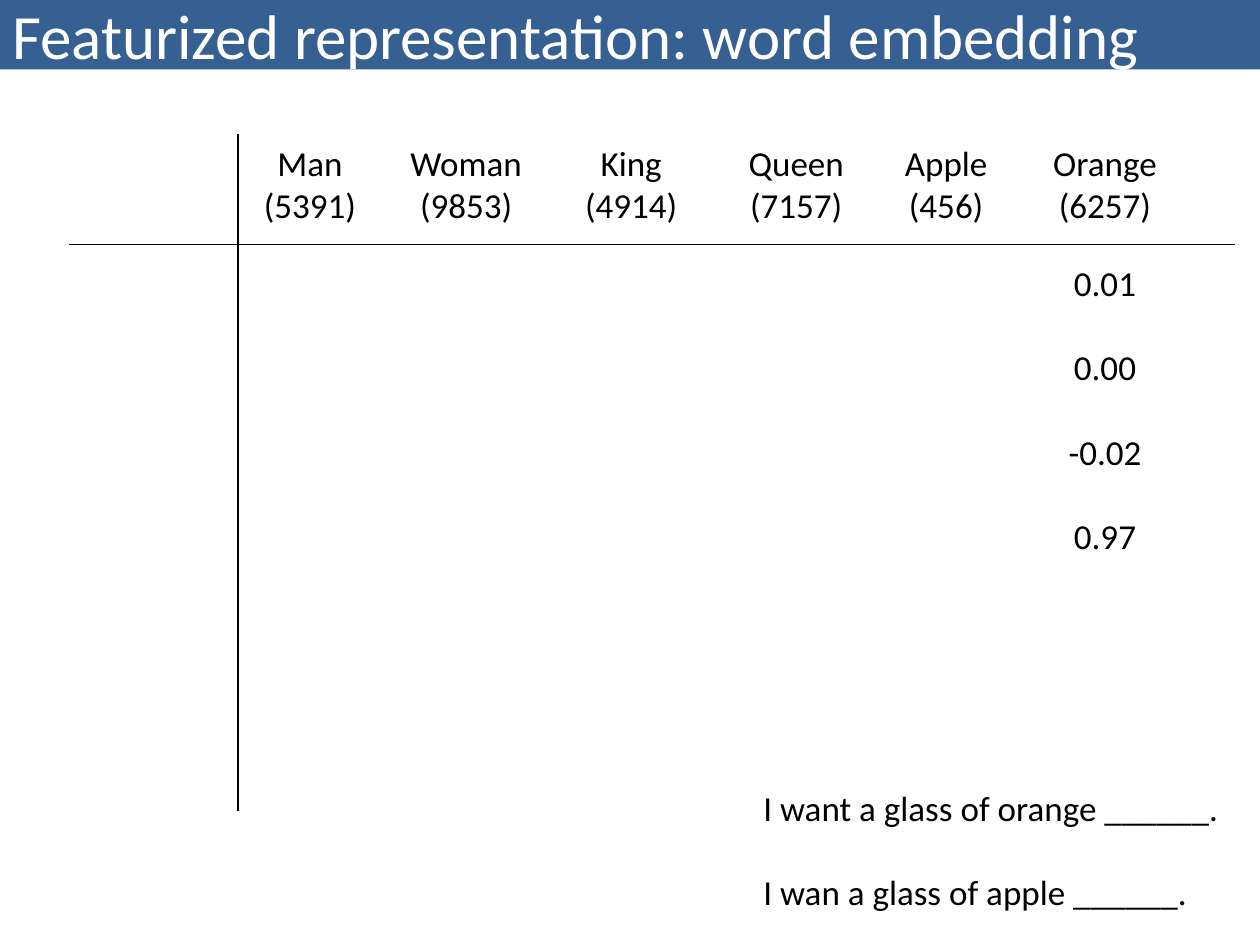
import pptx
import pptx.util
import pptx.dml.color
import pptx.enum.text
import pptx.enum.shapes
import pptx.oxml.ns
import lxml.etree

# Content
TITLE = "Featurized representation: word embedding"
# word, vocabulary index, column centre, box width
WORDS = [
    ("Man", 5391, 2.46, 0.94),
    ("Woman", 9853, 3.7, 1.09),
    ("King", 4914, 5.01, 0.94),
    ("Queen", 7157, 6.32, 0.97),
    ("Apple", 456, 7.51, 0.86),
    ("Orange", 6257, 8.77, 1.03),
]
ORANGE_FEATURES = ["0.01", "0.00", "-0.02", "0.97"]
SENTENCES = ["I want a glass of orange ______.", "I wan a glass of apple ______."]
AXES = [((0.55, 1.94), (9.8, 1.94)), ((1.89, 1.06), (1.89, 6.44))]

FONT, BLACK, WHITE, BLUE = "Calibri", "000000", "FFFFFF", "376092"
LINE_GAP = 24
ALIGN = pptx.enum.text.PP_ALIGN
inch = pptx.util.Inches


def color(value):
    return pptx.dml.color.RGBColor.from_string(value)


def style(p, size, value, align):
    p.font.name, p.font.size = FONT, pptx.util.Pt(size)
    p.font.color.rgb = color(value)
    p.alignment = align


def add_text(s, lines, left, top, width, height, align=ALIGN.CENTER, gap=0):
    tf = s.shapes.add_textbox(*map(inch, (left, top, width, height))).text_frame
    tf.word_wrap = False
    tf.auto_size = pptx.enum.text.MSO_AUTO_SIZE.SHAPE_TO_FIT_TEXT
    for i, line in enumerate(lines):
        p = tf.add_paragraph() if i else tf.paragraphs[0]
        p.text = line
        style(p, 20, BLACK, align)
        p.space_before = pptx.util.Pt(gap if i else 0)


def add_line(s, start, end):
    line = s.shapes.add_connector(
        pptx.enum.shapes.MSO_CONNECTOR.STRAIGHT, *map(inch, start + end))
    line.line.color.rgb = color(BLACK)
    line.line.width = pptx.util.Pt(0.75)
    lxml.etree.SubElement(line._element.spPr, pptx.oxml.ns.qn("a:effectLst"))


prs = pptx.Presentation()
prs.slide_width, prs.slide_height = inch(10), inch(7.5)
s = prs.slides.add_slide(prs.slide_layouts[5])

# Title bar
title = s.shapes.title
title.left, title.top, title.width, title.height = map(inch, (0, 0, 10, 0.55))
title.fill.solid()
title.fill.fore_color.rgb = color(BLUE)
tf = title.text_frame
tf.text = TITLE
tf.auto_size = pptx.enum.text.MSO_AUTO_SIZE.NONE
tf.vertical_anchor = pptx.enum.text.MSO_ANCHOR.MIDDLE
style(tf.paragraphs[0], 36, WHITE, ALIGN.LEFT)

# Column headings
for word, index, center, width in WORDS:
    add_text(s, [word, f"({index})"], center - width / 2, 1.07, width, 0.77)

# Table rules
for start, end in AXES:
    add_line(s, start, end)

# Feature values under the last word, and example sentences
center = WORDS[-1][2]
add_text(s, ORANGE_FEATURES, center - 0.39, 2.03, 0.78, 2.46, gap=LINE_GAP)
add_text(s, SENTENCES, 5.96, 6.19, 3.85, 1.11, ALIGN.LEFT, LINE_GAP)

prs.save("out.pptx")
